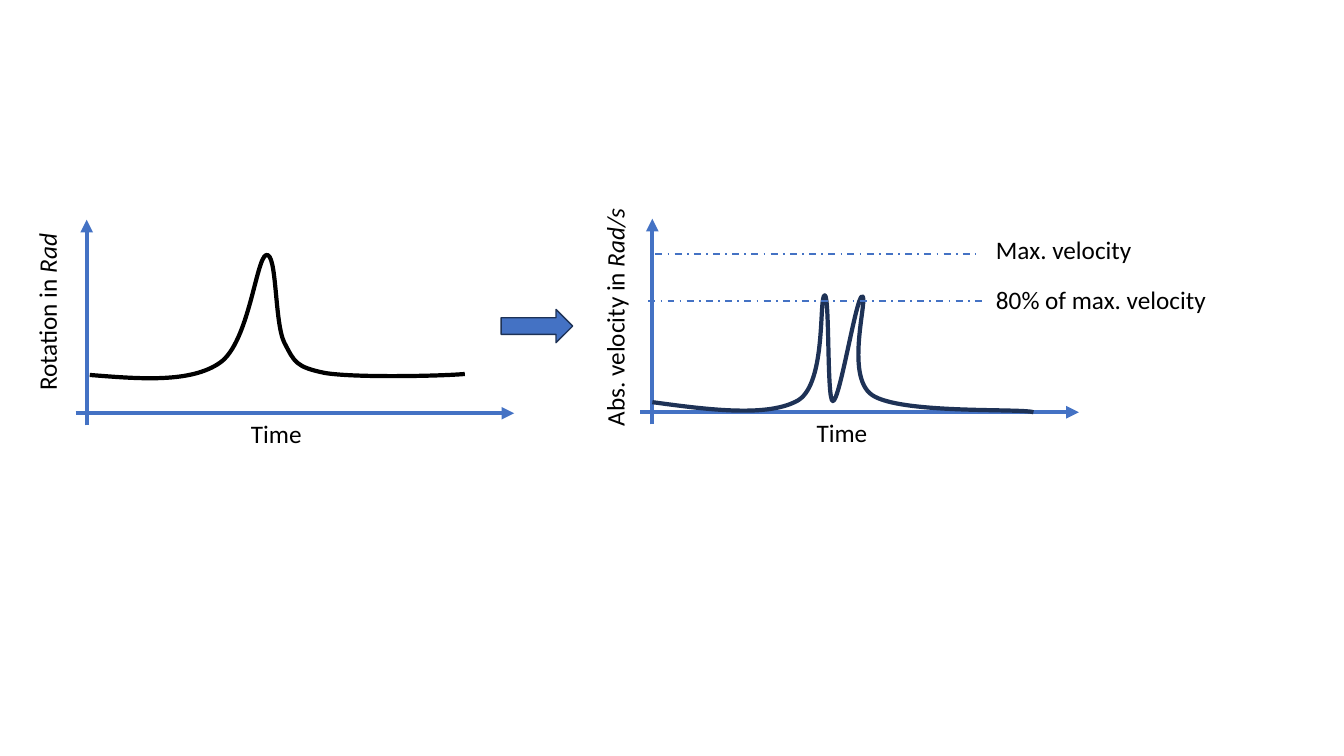
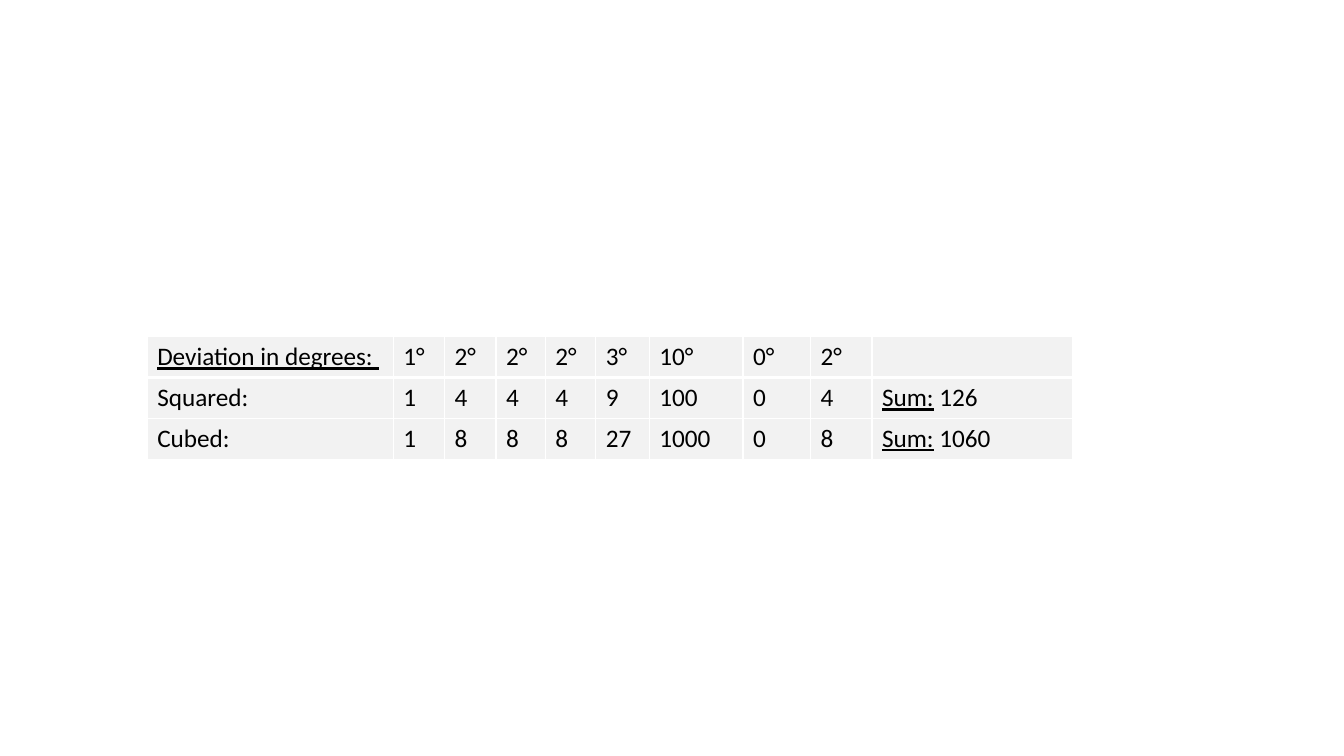
from dataclasses import dataclass

from lxml import etree
from pptx import Presentation
from pptx.dml.color import RGBColor
from pptx.enum.dml import MSO_LINE
from pptx.enum.shapes import MSO_CONNECTOR, MSO_SHAPE
from pptx.enum.text import MSO_ANCHOR, MSO_AUTO_SIZE
from pptx.oxml.ns import qn
from pptx.util import Inches, Pt

STRAIGHT = MSO_CONNECTOR.STRAIGHT
RIGHT_ARROW = MSO_SHAPE.RIGHT_ARROW
DASH_DOT = MSO_LINE.DASH_DOT
FIT_SHAPE = MSO_AUTO_SIZE.SHAPE_TO_FIT_TEXT
TOP = MSO_ANCHOR.TOP
BLANK_LAYOUT = 6


@dataclass(frozen=True)
class Theme:
    font: str = "Calibri"
    text_size: int = 18
    text: str = "000000"
    accent: str = "4472C4"
    dark: str = "1E3256"
    cell: str = "F2F2F2"
    border: str = "FFFFFF"
    heavy: float = 3
    guide: float = 1.25
    thin: float = 1


THEME = Theme()


def color(value):
    return RGBColor.from_string(value)


def add_span(para, text, size=THEME.text_size, fill=THEME.text, italic=False, underline=False):
    span = para.add_run()
    span.text = text
    font = span.font
    font.name, font.size = THEME.font, Pt(size)
    font.italic, font.underline = italic, underline
    font.color.rgb = color(fill)


def bend_outline(shape, segments, height):
    outline = next(shape.element.iter(qn("a:path")))
    for straight in outline.findall(qn("a:lnTo")):
        outline.remove(straight)
    for segment in segments:
        bend = etree.SubElement(outline, qn("a:cubicBezTo"))
        for x, y in segment:
            etree.SubElement(bend, qn("a:pt"), x=str(Inches(x) - shape.left),
                             y=str(Inches(y) - shape.top))
    shape.height = Inches(height)
    outline.set("h", str(Inches(height)))


def set_border(cell, side, width):
    properties = cell._tc.get_or_add_tcPr()
    line = etree.SubElement(properties, qn(f"a:ln{side}"), w=str(Pt(width)))
    fill = etree.SubElement(line, qn("a:solidFill"))
    etree.SubElement(fill, qn("a:srgbClr"), val=THEME.border)


class SlideBuilder:
    def __init__(self, deck, theme):
        self.deck = deck
        self.theme = theme
        self.slide = None

    def new_slide(self):
        self.slide = self.deck.slides.add_slide(self.deck.slide_layouts[BLANK_LAYOUT])

    def label(self, left, top, width, *spans, rotation=0):
        box = self.slide.shapes.add_textbox(Inches(left), Inches(top), Inches(width), Inches(0.4))
        box.rotation = rotation
        box.text_frame.word_wrap = False
        box.text_frame.auto_size = FIT_SHAPE
        for text, style in spans:
            add_span(box.text_frame.paragraphs[0], text, **style)

    def line(self, start, end, width, dash=None, arrow=False):
        connector = self.slide.shapes.add_connector(STRAIGHT, *map(Inches, (*start, *end)))
        connector.line.color.rgb = color(self.theme.accent)
        connector.line.width = Pt(width)
        if dash is not None:
            connector.line.dash_style = dash
        properties = connector.element.spPr
        if arrow:
            etree.SubElement(properties.find(qn("a:ln")), qn("a:tailEnd"), type="triangle")
        etree.SubElement(properties, qn("a:effectLst"))

    def axes(self, left, x, y):
        self.line((left, y), (left + 4.35, y), self.theme.heavy, arrow=True)
        self.line((x, y + 0.12), (x, y - 1.92), self.theme.heavy, arrow=True)
        self.label(x + 1.53, y, 0.71, ("Time", {}))

    def curve(self, start, segments, height, line_color):
        builder = self.slide.shapes.build_freeform(*map(Inches, start))
        anchors = [tuple(map(Inches, segment[-1])) for segment in segments]
        builder.add_line_segments(anchors, close=False)
        curve = builder.convert_to_shape()
        bend_outline(curve, segments, height)
        curve.shadow.inherit = False
        curve.fill.background()
        curve.line.color.rgb = color(line_color)
        curve.line.width = Pt(self.theme.heavy)

    def block_arrow(self, left, top, width, height):
        arrow = self.slide.shapes.add_shape(RIGHT_ARROW, *map(Inches, (left, top, width, height)))
        arrow.shadow.inherit = False
        arrow.fill.solid()
        arrow.fill.fore_color.rgb = color(self.theme.accent)
        arrow.line.color.rgb = color(self.theme.dark)
        arrow.line.width = Pt(self.theme.thin)

    def table(self, left, top, widths, row_height, rows):
        frame = self.slide.shapes.add_table(
            len(rows), len(widths), Inches(left), Inches(top),
            Inches(sum(widths)), Inches(row_height * len(rows)))
        table = frame.table
        table.first_row = table.horz_banding = False
        for column, width in zip(table.columns, widths):
            column.width = Inches(width)
        for row_index, row in enumerate(rows):
            table.rows[row_index].height = Inches(row_height)
            for column_index, spans in enumerate(row):
                self.cell(table.cell(row_index, column_index), row_index, spans)

    def cell(self, cell, row_index, spans):
        heavy_side = {0: "B", 1: "T"}.get(row_index)
        for side in "LRTB":
            set_border(cell, side, self.theme.heavy if side == heavy_side else self.theme.thin)
        cell.fill.solid()
        cell.fill.fore_color.rgb = color(self.theme.cell)
        cell.vertical_anchor = TOP
        for text, style in spans:
            add_span(cell.text_frame.paragraphs[0], text, **style)


def build_velocity_slide(page):
    theme = page.theme
    italic = {"italic": True}
    page.new_slide()
    page.axes(0.75, 0.86, 4.1)
    page.label(-0.42, 2.89, 1.77, ("Rotation in ", {}), ("Rad", italic), rotation=270)
    page.curve((0.89, 3.72), [
        ((1.39, 3.76), (1.89, 3.8), (2.18, 3.6)),
        ((2.47, 3.4), (2.54, 2.56), (2.64, 2.53)),
        ((2.75, 2.5), (2.72, 3.2), (2.82, 3.4)),
        ((2.92, 3.59), (2.93, 3.64), (3.22, 3.7)),
        ((3.52, 3.75), (4.4, 3.73), (4.61, 3.71)),
    ], 1.22, theme.text)
    page.axes(6.35, 6.47, 4.09)
    page.label(4.9, 2.93, 2.39, ("Abs. velocity in ", {}), ("Rad/s", italic), rotation=270)
    page.curve((6.47, 3.99), [
        ((7.05, 4.07), (7.63, 4.14), (7.92, 3.97)),
        ((8.2, 3.79), (8.12, 2.93), (8.18, 2.93)),
        ((8.23, 2.93), (8.2, 3.98), (8.26, 3.98)),
        ((8.33, 3.98), (8.49, 2.95), (8.55, 2.94)),
        ((8.62, 2.93), (8.37, 3.73), (8.65, 3.92)),
        ((8.93, 4.11), (10.12, 4.05), (10.25, 4.09)),
    ], 1.16, theme.dark)
    guides = [
        (6.5, 9.68, 2.52, 2.28, 1.56, "Max. velocity"),
        (6.43, 9.75, 2.99, 2.77, 2.31, "80% of max. velocity"),
    ]
    for left, right, y, label_top, label_width, text in guides:
        page.line((left, y), (right, y), theme.guide, dash=DASH_DOT)
        page.label(9.78, label_top, label_width, (text, {}))
    page.block_arrow(4.97, 3.07, 0.71, 0.33)


def build_deviation_slide(page):
    underline = {"underline": True}
    deviations = [1, 2, 2, 2, 3, 10, 0, 2]
    rows = [[[("Deviation in degrees: ", underline)],
             *[[(f"{value}°", {})] for value in deviations], []]]
    for name, power in (("Squared:", 2), ("Cubed:", 3)):
        values = [value ** power for value in deviations]
        total = [("Sum:", underline), (f" {sum(values)}", {})]
        rows.append([[(name, {})], *[[(str(value), {})] for value in values], total])
    page.new_slide()
    widths = [2.44, 0.51, 0.51, 0.49, 0.5, 0.53, 0.93, 0.67, 0.61, 1.99]
    page.table(1.46, 3.34, widths, 0.4, rows)


def main():
    deck = Presentation()
    deck.slide_width, deck.slide_height = Inches(13.33), Inches(7.5)
    page = SlideBuilder(deck, THEME)
    build_velocity_slide(page)
    build_deviation_slide(page)
    deck.save("out.pptx")


if __name__ == "__main__":
    main()
